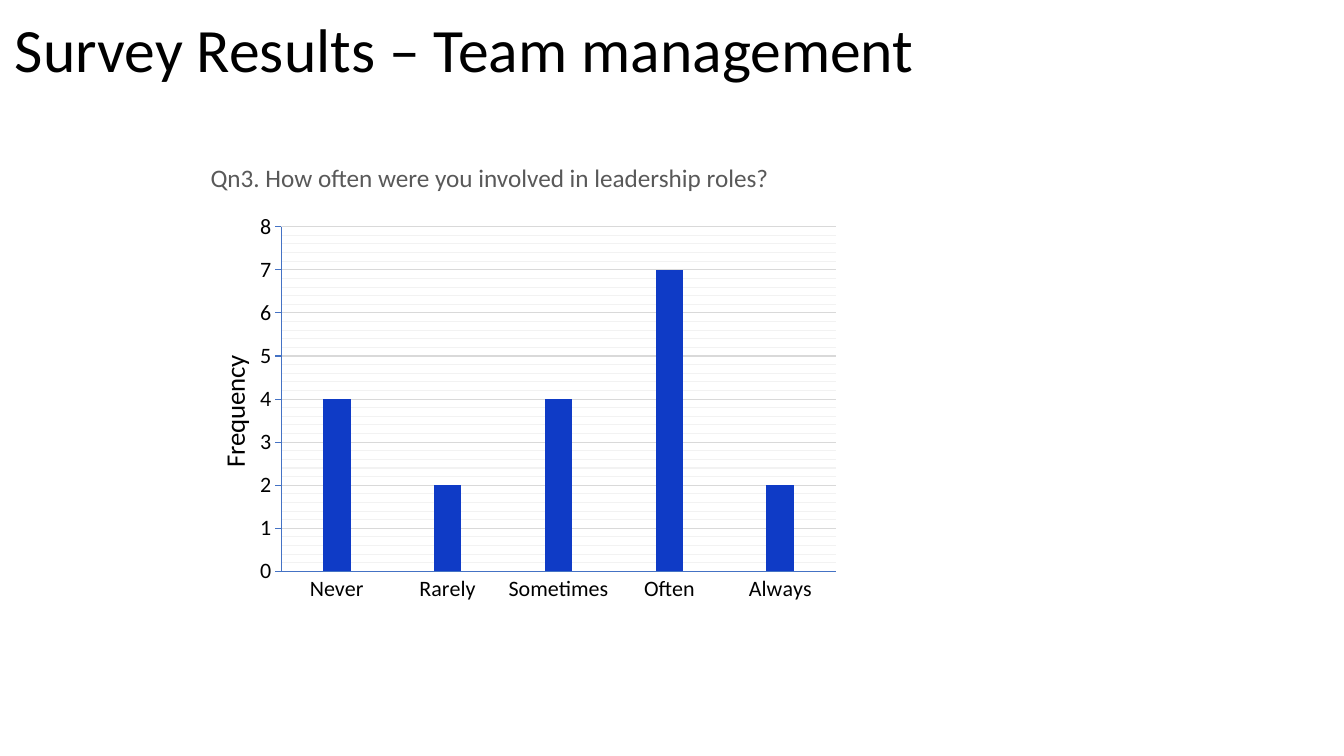
from lxml import etree
from pptx import Presentation
from pptx.chart.data import CategoryChartData
from pptx.dml.color import RGBColor
from pptx.enum.chart import XL_CHART_TYPE as ChartType, XL_TICK_MARK as Tick
from pptx.enum.text import MSO_ANCHOR as Anchor
from pptx.oxml.ns import qn
from pptx.util import Inches, Pt

# Content
TITLE = "Survey Results – Team management"
QUESTION = "Qn3. How often were you involved in leadership roles?"
AXIS_TITLE = "Frequency"
ANSWERS = {"Never": 4, "Rarely": 2, "Sometimes": 4, "Often": 7, "Always": 2}

# Places: left, top, width, height in inches
TITLE_BOX = (0.05, 0.13, 11.5, 0.79)
QUESTION_BOX = (1.99, 1.56, 6.77, 0.4)
CHART_BOX = (1.78, 2.04, 6.63, 4.02)
PLOT_BOX = (2.79, 2.25, 5.5, 3.42)
AXIS_TITLE_AT = (2.1, 3.48)

THEME = {
    "font": "Calibri",
    "text": "000000", "muted": "595959", "bar": "0F3BC6",
    "axis": "4472C4", "major": "D9D9D9", "minor": "F2F2F2",
    "title": 44, "question": 18, "axis_title": 19.1, "labels": 15.7,
    "line": 0.75,
}


def set_font(font, size, color):
    font.name = THEME["font"]
    font.size = Pt(THEME[size])
    font.color.rgb = RGBColor.from_string(THEME[color])


def set_line(line, color):
    line.color.rgb = RGBColor.from_string(THEME[color])
    line.width = Pt(THEME["line"])


def add_text(s, box, text, size, color):
    tf = s.shapes.add_textbox(*map(Inches, box)).text_frame
    tf.word_wrap = True
    p = tf.paragraphs[0]
    r = p.add_run()
    r.text = text
    set_font(r.font, size, color)
    return tf


def make_layout(box, inner=False):
    """Manual chart layout for a box given in slide inches."""
    left, top, width, height = CHART_BOX
    values = [("xMode", "edge"), ("yMode", "edge"),
              ("x", round((box[0] - left) / width, 4)),
              ("y", round((box[1] - top) / height, 4))]
    if inner:
        values.insert(0, ("layoutTarget", "inner"))
        values += [("w", round(box[2] / width, 4)),
                   ("h", round(box[3] / height, 4))]
    layout = etree.Element(qn("c:layout"))
    manual = etree.SubElement(layout, qn("c:manualLayout"))
    for tag, value in values:
        etree.SubElement(manual, qn("c:" + tag)).set("val", str(value))
    return layout


def drop_layout(parent):
    for old in parent.findall(qn("c:layout")):
        parent.remove(old)


prs = Presentation()
prs.slide_width, prs.slide_height = Inches(13.33), Inches(7.5)
s = prs.slides.add_slide(prs.slide_layouts[6])

# Slide title
tf = add_text(s, TITLE_BOX, TITLE, "title", "text")
tf.vertical_anchor = Anchor.MIDDLE
tf.paragraphs[0].line_spacing = 0.9

# Column chart
data = CategoryChartData()
data.categories = list(ANSWERS)
data.add_series("Series 1", list(ANSWERS.values()))
chart = s.shapes.add_chart(ChartType.COLUMN_CLUSTERED,
                           *map(Inches, CHART_BOX), data).chart
chart.has_legend = chart.has_title = False
set_font(chart.font, "labels", "text")
plot = chart.plots[0]
plot.gap_width = 300
plot.vary_by_categories = False
fill = plot.series[0].format.fill
fill.solid()
fill.fore_color.rgb = RGBColor.from_string(THEME["bar"])

# Axes and gridlines
cat, val = chart.category_axis, chart.value_axis
for axis, tick in ((cat, Tick.NONE), (val, Tick.OUTSIDE)):
    axis.major_tick_mark = tick
    axis.minor_tick_mark = Tick.NONE
    set_font(axis.tick_labels.font, "labels", "text")
    set_line(axis.format.line, "axis")
val.minimum_scale, val.maximum_scale = 0, 8
val.major_unit, val.minor_unit = 1, 0.2
val.has_major_gridlines = val.has_minor_gridlines = True
set_line(val.major_gridlines.format.line, "major")

# Minor gridlines are formatted through XML
minor = val._element.find(qn("c:minorGridlines"))
ln = etree.SubElement(etree.SubElement(minor, qn("c:spPr")), qn("a:ln"))
ln.set("w", str(Pt(THEME["line"])))
solid = etree.SubElement(ln, qn("a:solidFill"))
etree.SubElement(solid, qn("a:srgbClr")).set("val", THEME["minor"])

# Value axis title
p = val.axis_title.text_frame.paragraphs[0]
r = p.add_run()
r.text = AXIS_TITLE
set_font(r.font, "axis_title", "text")
r.font.bold = False
body = val.axis_title._element.find(".//" + qn("a:bodyPr"))
body.set("rot", "-5400000")
body.set("vert", "horz")

# Fixed places inside the chart
title_el = val.axis_title._element
drop_layout(title_el)
title_el.find(qn("c:tx")).addnext(make_layout(AXIS_TITLE_AT))
plot_area = chart._chartSpace.find(".//" + qn("c:plotArea"))
drop_layout(plot_area)
plot_area.insert(0, make_layout(PLOT_BOX, inner=True))

# Survey question
add_text(s, QUESTION_BOX, QUESTION, "question", "muted")

prs.save("out.pptx")
